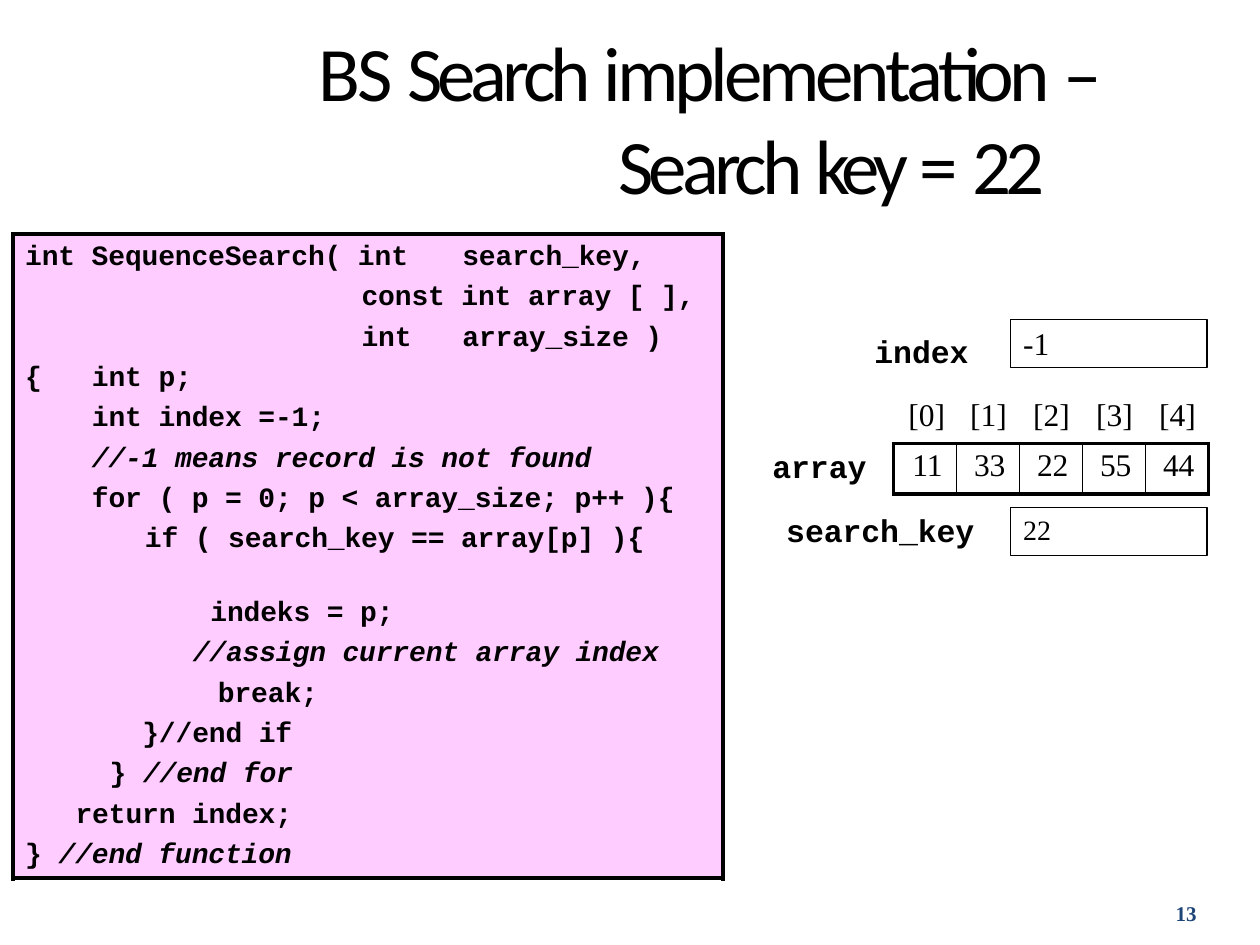
from lxml.etree import SubElement
from pptx import Presentation
from pptx.dml.color import RGBColor
from pptx.enum.shapes import MSO_CONNECTOR, MSO_SHAPE
from pptx.enum.text import MSO_ANCHOR, MSO_AUTO_SIZE, PP_ALIGN
from pptx.oxml.ns import qn
from pptx.util import Emu, Inches, Pt

BLACK = RGBColor(0, 0, 0)
PINK = RGBColor(0xFF, 0xCC, 0xFF)
NAVY = RGBColor(0x1D, 0x45, 0x77)
CODE, SERIF, SANS = "Courier New", "Times New Roman", "Calibri"
UNIT = Inches(0.1)
PLAIN_TABLE = "{2D5ABB26-0587-4C30-8999-92F81FD0307C}"

TITLE = [("BS ", -1.6), ("Search ", -2.9), ("implementation ", -2.4), ("– ", 5.8),
         ("Search ", -2.9), ("key ", -3.5), ("= ", -1.6), ("22", -3.5)]
HEAD = [("int SequenceSearch( int\tsearch_key,", 0, False, 3.47)]
PARAMS = [("const int array [ ],", 0, False, 0),
          ("int\tarray_size )", 0, False, 0.8)]
LOOP = [("{\tint p;", 0, False, 0.53),
        ("int index =-1;", 0.53, False, 0),
        ("//-1 means record is not found", 0.53, True, 0),
        ("for ( p = 0; p < array_size; p++ ){", 0.53, False, 0),
        ("if ( search_key == array[p] ){", 0.95, False, 0)]
ENDING = [("indeks = p;", 1.47, False, 0),
          ("//assign current array index", 1.33, True, 0),
          ("break;", 1.53, False, 0),
          ("}//end if", 0.93, False, 0),
          ("} //end for", 0.67, True, 0),
          ("return index;", 0.4, False, 0),
          ("} //end function", 0, True, 0)]


def grid(*cells):
    """Turn columns and rows of the slide grid into lengths."""
    return [Emu(round(n * UNIT)) for n in cells]


def style(r, size, font, color=BLACK, bold=False, italic=False, spc=0):
    """Format one run."""
    f = r.font
    f.size, f.name, f.bold, f.italic = Pt(size), font, bold, italic
    f.color.rgb = color
    if spc:
        r._r.get_or_add_rPr().set("spc", str(round(spc * 100)))


def layout(p, indent=0, before=0, first=0, tab=0):
    """Set the indents, space before and tab stop of a paragraph."""
    p.space_before = Pt(before)
    pPr = p._p.get_or_add_pPr()
    if indent:
        pPr.set("marL", str(Inches(indent)))
        pPr.set("indent", str(Inches(first)))
    if tab:
        tabs = SubElement(pPr, qn("a:tabLst"))
        SubElement(tabs, qn("a:tab"), pos=str(Inches(tab)), algn="l")


def inset(holder, top):
    """Leave only a top inset in a text frame or table cell."""
    holder.margin_left = holder.margin_right = holder.margin_bottom = 0
    holder.margin_top = Inches(top)


def frame(tf, top=0.01):
    """Prepare a wrapping text frame."""
    tf.word_wrap = True
    inset(tf, top)
    return tf


def add_label(s, cells, text, size, font, color=BLACK, spc=0):
    """Add a bold one-line label."""
    tf = frame(s.shapes.add_textbox(*grid(*cells)).text_frame)
    tf.auto_size = MSO_AUTO_SIZE.SHAPE_TO_FIT_TEXT
    tf.text = text
    layout(tf.paragraphs[0], 0.01, 1)
    style(tf.paragraphs[0].runs[0], size, font, color, True, spc=spc)


def add_box(s, cells):
    """Add a rectangle without a shadow."""
    sp = s.shapes.add_shape(MSO_SHAPE.RECTANGLE, *grid(*cells))
    sp.shadow.inherit = False
    return sp


def add_line(s, *ends):
    """Add one edge of the code panel."""
    ln = s.shapes.add_connector(MSO_CONNECTOR.STRAIGHT, *grid(*ends))
    ln.line.color.rgb = BLACK
    ln.line.width = Pt(2.25)
    SubElement(ln._element.spPr, qn("a:effectLst"))


def add_panel(s, left, top, right, bottom):
    """Add the code panel with edges that run past its corners."""
    sp = add_box(s, (left, top, right - left, bottom - top))
    sp.fill.solid()
    sp.fill.fore_color.rgb = PINK
    sp.line.fill.background()
    for x in (left, right):
        add_line(s, x, top - 0.2, x, bottom + 0.2)
    for y in (top, bottom):
        add_line(s, left - 0.1, y, right + 0.1, y)


def add_value(s, cells, text, size):
    """Add a box that holds the value of a variable."""
    sp = add_box(s, cells)
    sp.fill.background()
    sp.line.color.rgb = BLACK
    sp.line.width = Pt(0.75)
    tf = frame(sp.text_frame, 0.04)
    tf.vertical_anchor = MSO_ANCHOR.TOP
    tf.text = text
    p = tf.paragraphs[0]
    p.alignment = PP_ALIGN.LEFT
    layout(p, 0.1, 3)
    style(p.runs[0], size, SERIF)


def add_code(s, cells, lines, top=0.07, first=4.8):
    """Add code lines, with comments in italics where asked."""
    tf = frame(s.shapes.add_textbox(*grid(*cells)).text_frame, top)
    tf.auto_size = MSO_AUTO_SIZE.SHAPE_TO_FIT_TEXT
    for i, (text, indent, italic, tab) in enumerate(lines):
        p = tf.add_paragraph() if i else tf.paragraphs[0]
        layout(p, indent, 3.85 if i else first, tab=tab)
        code, mark, note = text.partition("//") if italic else (text, "", "")
        for part, slanted in ((code, False), (mark + note, True)):
            if part:
                r = p.add_run()
                r.text = part
                style(r, 16, CODE, bold=True, italic=slanted, spc=-0.05)


def add_border(cell, side, weight):
    """Draw one border of a table cell."""
    ln = SubElement(cell._tc.get_or_add_tcPr(), qn("a:" + side), w=str(Pt(weight)))
    fill = SubElement(ln, qn("a:solidFill"))
    SubElement(fill, qn("a:srgbClr"), val=str(BLACK))


def add_row(s, cells, texts, widths, indents, before=0, spacing=None, top=0, ruled=False):
    """Add a one-row table, ruled or plain."""
    tbl = s.shapes.add_table(1, len(texts), *grid(*cells)).table
    tbl.first_row = tbl.horz_banding = False
    tbl._tbl.tblPr.find(qn("a:tableStyleId")).text = PLAIN_TABLE
    last = len(texts) - 1
    for i, text in enumerate(texts):
        tbl.columns[i].width = Inches(widths[i])
        cell = tbl.cell(0, i)
        if ruled:
            add_border(cell, "lnL", 1 if i else 2.25)
            add_border(cell, "lnR", 1 if i < last else 2.25)
            add_border(cell, "lnT", 2.25)
            add_border(cell, "lnB", 2.25)
        cell.fill.background()
        inset(cell, top)
        cell.text_frame.text = text
        p = cell.text_frame.paragraphs[0]
        layout(p, indents[i], before)
        if spacing:
            p.line_spacing = Pt(spacing)
        style(p.runs[0], 18, SERIF)


def add_title(s):
    """Fill the title placeholder with tightly spaced words."""
    sp = s.shapes.title
    sp.left, sp.top, sp.width, sp.height = grid(5, 3, 90, 12.5)
    tf = frame(sp.text_frame)
    tf.vertical_anchor = MSO_ANCHOR.MIDDLE
    tf.auto_size = MSO_AUTO_SIZE.NONE
    p = tf.paragraphs[0]
    p.alignment = PP_ALIGN.CENTER
    layout(p, 3.2, 1.1, -1.85)
    for text, spc in TITLE:
        r = p.add_run()
        r.text = text
        style(r, 44, SANS, spc=spc)


def main():
    """Build the slide."""
    prs = Presentation()
    prs.slide_width, prs.slide_height = grid(100, 75)
    s = prs.slides.add_slide(prs.slide_layouts[5])
    add_title(s)
    add_label(s, (93.2, 71.35, 2.5, 2.3), "13", 12, SERIF, NAVY)

    for text, cells in (("index", (69.3, 26.25, 7.8, 3.3)),
                        ("array", (61.2, 35.4, 7.8, 3.3)),
                        ("search_key", (62.3, 40.45, 15.2, 3.3))):
        add_label(s, cells, text, 18, CODE, spc=-0.05)
    add_value(s, (80.2, 25.35, 15.6, 3.8), "-1", 18)
    add_value(s, (80.2, 40.3, 15.6, 3.8), "22", 16)
    add_row(s, (70.9, 35.2, 25, 4), ["11", "33", "22", "55", "44"], [0.5] * 5,
            [0.15] + [0.14] * 4, before=3, top=0.04, ruled=True)
    add_row(s, (70.7, 31.8, 25.6, 2.8), [f"[{i}]" for i in range(5)],
            [0.53, 0.5, 0.5, 0.5, 0.53], [0.14] + [0.1] * 4, spacing=18.9)

    add_panel(s, 1, 18.6, 57.4, 69.7)
    add_code(s, (2, 18.75, 49.6, 2.9), HEAD, 0.01, 0.9)
    add_code(s, (28.7, 21.35, 26.8, 6.7), PARAMS)
    add_code(s, (2, 27.75, 52.2, 16.3), LOOP)
    add_code(s, (2, 46.4, 50.9, 22.7), ENDING)
    prs.save("out.pptx")


main()
